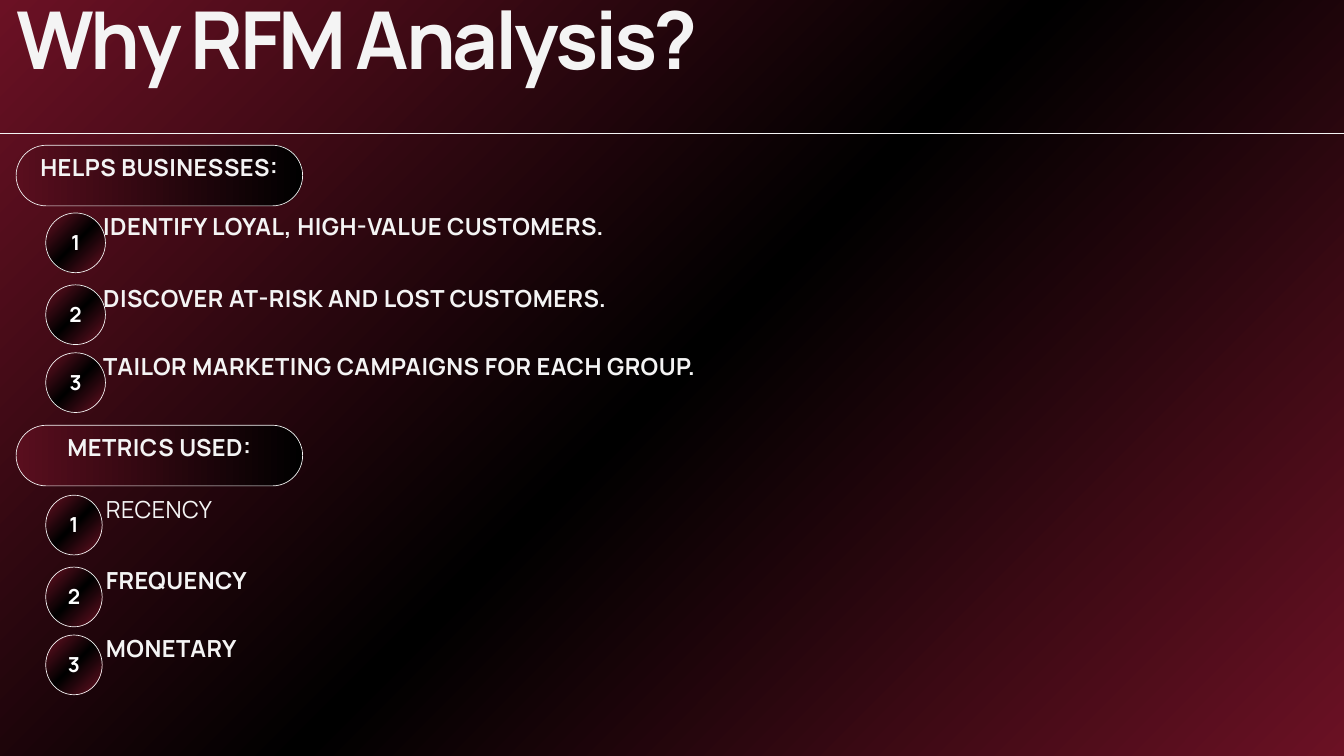
"""Build the "Why RFM Analysis?" slide with two numbered lists."""
from copy import deepcopy

from lxml import etree
from pptx import Presentation
from pptx import util as u
from pptx.dml.color import RGBColor
from pptx.enum import shapes, text
from pptx.oxml.ns import qn

Pt = u.Pt
COLORS = {"wine": "6B1124", "plum": "590E1E", "black": "000000",
          "pale": "F4F4F4", "white": "FFFFFF"}
GLOW = ("wine", "black", "wine")


def set_gradient(fill, names, angle):
    """Spread the named colours evenly over a linear gradient."""
    fill.gradient()
    fill.gradient_angle = angle
    last = fill.gradient_stops[1]._gs
    for _ in names[2:]:
        last.addnext(deepcopy(last))
    for i, (stop, name) in enumerate(zip(fill.gradient_stops, names)):
        stop.position = i / (len(names) - 1)
        stop.color.rgb = RGBColor.from_string(COLORS[name])


def style_text(sp, lines, size, leading, align, anchor, color="pale",
               spacing=0.5, insets=(0, 0, 0, 0)):
    """Fill a shape with plain paragraphs in one style."""
    tf = sp.text_frame
    tf.text = "\n".join(lines)
    tf.word_wrap = True
    tf.auto_size = text.MSO_AUTO_SIZE.NONE
    tf.vertical_anchor = anchor
    tf.margin_left, tf.margin_top, tf.margin_right, tf.margin_bottom = map(Pt, insets)
    for p in tf.paragraphs:
        pPr = p._p.get_or_add_pPr()
        pPr.set("marL", "0")
        pPr.set("indent", "0")
        etree.SubElement(pPr, qn("a:buNone"))
        p.alignment = align
        p.line_spacing = Pt(leading)
        p.space_before = p.space_after = Pt(0)
        r = p.runs[0]
        r.font.name, r.font.size, r.font.bold = "Manrope", Pt(size), True
        r.font.color.rgb = RGBColor.from_string(COLORS[color])
        r._r.get_or_add_rPr().set("spc", str(round(spacing * 100)))


prs = Presentation()
prs.slide_width, prs.slide_height = Pt(1440), Pt(810)
s = prs.slides.add_slide(prs.slide_layouts[3])
set_gradient(s.background.fill, GLOW, 315)
LEFT, CENTER = text.PP_ALIGN.LEFT, text.PP_ALIGN.CENTER
TOP, MIDDLE = text.MSO_ANCHOR.TOP, text.MSO_ANCHOR.MIDDLE

title = s.shapes.title
title.left, title.top, title.width, title.height = Pt(17.3), Pt(10), Pt(915), Pt(93.6)
style_text(title, ["Why RFM Analysis?"], 85.5, 81.2, LEFT, TOP, spacing=-3.6)

groups = [
    dict(heading="HELPS BUSINESSES:", pill_y=155.6, badge_y=228.2, badge_w=64,
         list_x=110.5, list_y=222.5, list_w=645,
         items=["IDENTIFY LOYAL, HIGH-VALUE CUSTOMERS.",
                "DISCOVER AT-RISK AND LOST CUSTOMERS.",
                "TAILOR MARKETING CAMPAIGNS FOR EACH GROUP."]),
    dict(heading="METRICS USED:", pill_y=455.6, badge_y=530.6, badge_w=60.5,
         list_x=113.5, list_y=525, list_w=170,
         items=["RECENCY", "FREQUENCY", "MONETARY"]),
]
BADGE_STEPS = (0, 77, 149.8)
LEADING = 35.3
LIST_PITCHES = (76.5, 73)

for g, body in zip(groups, list(s.placeholders)[1:]):
    pill = s.shapes.add_shape(shapes.MSO_SHAPE.ROUNDED_RECTANGLE,
                              Pt(17.3), Pt(g["pill_y"]), Pt(307), Pt(65))
    pill.adjustments[0] = 0.5
    set_gradient(pill.fill, ("plum", "black"), 0)
    style_text(pill, [g["heading"]], 25.2, LEADING, CENTER, MIDDLE,
               insets=(0, 0, 0, 22.5))
    outlined = [pill]

    for n, step in enumerate(BADGE_STEPS, 1):
        badge = s.shapes.add_shape(shapes.MSO_SHAPE.OVAL, Pt(49), Pt(g["badge_y"] + step),
                                   Pt(g["badge_w"]), Pt(64))
        set_gradient(badge.fill, GLOW, 315)
        style_text(badge, [str(n)], 22.2, 31.1, CENTER, MIDDLE, "white",
                   insets=(0, 0, 0, 5.8))
        outlined.append(badge)

    for sp in outlined:
        sp.shadow.inherit = False
        sp.line.color.rgb = RGBColor.from_string(COLORS["pale"])
        sp.line.width = Pt(0.75)

    body.left, body.top = Pt(g["list_x"]), Pt(g["list_y"])
    body.width, body.height = Pt(g["list_w"]), Pt(sum(LIST_PITCHES) + LEADING)
    style_text(body, g["items"], 25.2, LEADING, LEFT, TOP)
    for p, pitch in zip(body.text_frame.paragraphs[1:], LIST_PITCHES):
        p.space_before = Pt(pitch - LEADING)

body.text_frame.paragraphs[0].runs[0].font.bold = False

rule = s.shapes.add_connector(shapes.MSO_CONNECTOR.STRAIGHT,
                              Pt(0), Pt(142.6), Pt(1440), Pt(142.6))
rule.line.color.rgb = RGBColor.from_string(COLORS["pale"])
rule.line.width = Pt(0.75)
etree.SubElement(rule._element.spPr, qn("a:effectLst"))

prs.save("out.pptx")
